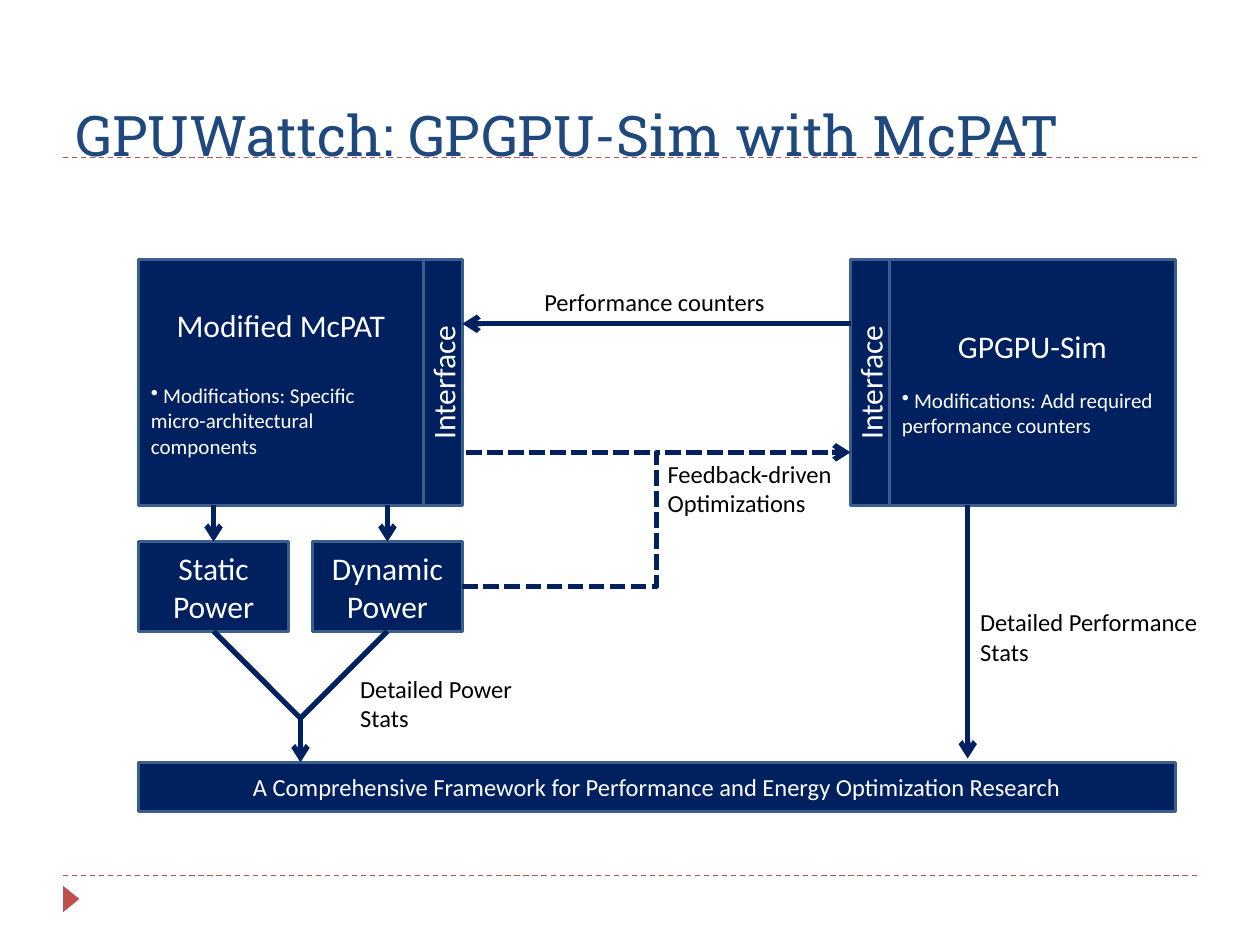
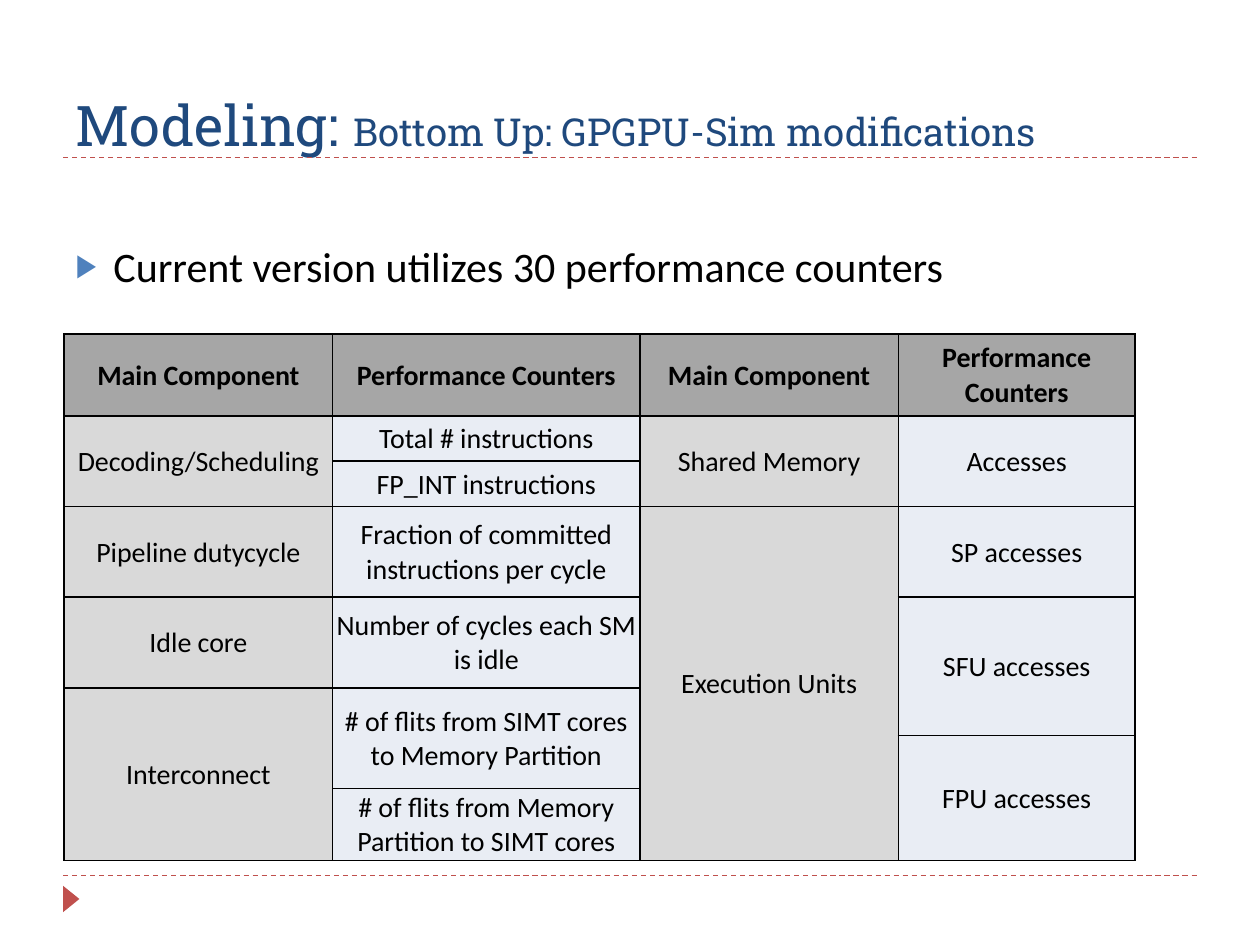
from dataclasses import dataclass
from lxml.etree import SubElement
from pptx import Presentation
from pptx.dml.color import RGBColor
from pptx.enum.dml import MSO_LINE
from pptx.enum.shapes import MSO_CONNECTOR, MSO_SHAPE
from pptx.enum.text import MSO_ANCHOR, MSO_AUTO_SIZE, PP_ALIGN
from pptx.oxml.ns import qn
from pptx.util import Inches, Pt

NAVY = RGBColor(0x00, 0x20, 0x60)
OUTLINE = RGBColor(0x3A, 0x5F, 0x8C)
TITLE_BLUE = RGBColor(0x1F, 0x49, 0x7D)
RULE_RED = RGBColor(0xC0, 0x50, 0x4D)
BULLET_BLUE = RGBColor(0x4F, 0x81, 0xBD)
BLACK = RGBColor(0, 0, 0)
WHITE = RGBColor(0xFF, 0xFF, 0xFF)
HEADER_GRAY = RGBColor(0xA6, 0xA6, 0xA6)
COMPONENT_GRAY = RGBColor(0xD9, 0xD9, 0xD9)
COUNTER_BLUE = RGBColor(0xE9, 0xED, 0xF4)
BODY_FONT = "Calibri"
TITLE_FONT = "Roboto Slab"


@dataclass
class Box:
    left: float
    top: float
    width: float
    height: float

    @property
    def right(self):
        return self.left + self.width

    @property
    def bottom(self):
        return self.top + self.height

    @property
    def lengths(self):
        return [Inches(n) for n in (self.left, self.top, self.width, self.height)]


def write(para, text, size=14, color=BLACK, font=BODY_FONT, bold=False, align=PP_ALIGN.LEFT, before=0):
    para.alignment = align
    para.space_before = Pt(before)
    span = para.add_run()
    span.text = text
    span.font.name = font
    span.font.size = Pt(size)
    span.font.bold = bold
    span.font.color.rgb = color


def add_bullet(para, mark, indent=0, color=None, percent=100):
    properties = para._p.get_or_add_pPr()
    properties.set("marL", str(Inches(indent)))
    properties.set("indent", str(-Inches(indent)))
    if color is not None:
        SubElement(SubElement(properties, qn("a:buClr")), qn("a:srgbClr"), val=str(color))
    SubElement(properties, qn("a:buSzPct"), val=str(percent * 1000))
    SubElement(properties, qn("a:buChar"), char=mark)


def add_line(page, start, end, color=NAVY, width=3, dash=None, arrow=False,
             kind=MSO_CONNECTOR.STRAIGHT, begin_at=None, end_at=None):
    line = page.shapes.add_connector(kind, *[Inches(n) for n in (*start, *end)])
    if begin_at:
        line.begin_connect(*begin_at)
    if end_at:
        line.end_connect(*end_at)
    line.line.color.rgb = color
    line.line.width = Pt(width)
    if dash:
        line.line.dash_style = dash
    if arrow:
        SubElement(line.line._get_or_add_ln(), qn("a:tailEnd"), type="arrow")
    SubElement(line._element.spPr, qn("a:effectLst"))


def add_block(page, box, text, size=18, vertical=False):
    block = page.shapes.add_shape(MSO_SHAPE.RECTANGLE, *box.lengths)
    block.shadow.inherit = False
    block.fill.solid()
    block.fill.fore_color.rgb = NAVY
    block.line.color.rgb = OUTLINE
    block.line.width = Pt(1.5)
    frame = block.text_frame
    frame.word_wrap = True
    frame.vertical_anchor = MSO_ANCHOR.MIDDLE
    if vertical:
        frame._txBody.bodyPr.set("vert", "vert270")
    write(frame.paragraphs[0], text, size=size, color=WHITE, align=PP_ALIGN.CENTER)
    return block


def add_label(page, box, text, align=PP_ALIGN.LEFT):
    frame = page.shapes.add_textbox(*box.lengths).text_frame
    frame.word_wrap = True
    write(frame.paragraphs[0], text, align=align)


def place(holder, box, anchor):
    holder.left, holder.top, holder.width, holder.height = box.lengths
    frame = holder.text_frame
    frame.auto_size = MSO_AUTO_SIZE.NONE
    frame.vertical_anchor = anchor
    return frame.paragraphs[0]


def add_page(deck, layout, title_top, title_parts):
    page = deck.slides.add_slide(deck.slide_layouts[layout])
    for top in (1.25, 6.95):
        add_line(page, (0.5, top), (9.5, top), color=RULE_RED, width=0.75, dash=MSO_LINE.DASH)
    marker = page.shapes.add_shape(MSO_SHAPE.ISOSCELES_TRIANGLE, *Box(0.46, 7.07, 0.21, 0.13).lengths)
    marker.rotation = 90
    marker.shadow.inherit = False
    marker.fill.solid()
    marker.fill.fore_color.rgb = RULE_RED
    marker.line.fill.background()
    para = place(page.shapes.title, Box(0.5, title_top, 9, 1.17), MSO_ANCHOR.BOTTOM)
    for text, size in title_parts:
        write(para, text, size=size, color=TITLE_BLUE, font=TITLE_FONT)
    return page


def add_simulator(page, box, name, modifications, gap, interface_first):
    interface_width = 0.31
    block_width = box.width - interface_width
    block_left = box.left + (interface_width if interface_first else 0)
    interface_left = box.left + (0 if interface_first else block_width)
    block = add_block(page, Box(block_left, box.top, block_width, box.height), name)
    para = block.text_frame.add_paragraph()
    add_bullet(para, "•")
    write(para, " " + modifications, size=12, color=WHITE, before=gap)
    add_block(page, Box(interface_left, box.top, interface_width, box.height), "Interface", vertical=True)


def add_power_stats(page, box, source_bottom):
    width, height = 1.19, 0.71
    join = (box.left + box.width / 2, 5.7)
    lefts = (box.left, box.right - width)
    for left, name in zip(lefts, ("Static Power", "Dynamic Power")):
        block = add_block(page, Box(left, box.top, width, height), name)
        middle = left + width / 2
        add_line(page, (middle, source_bottom), (middle, box.top), arrow=True, end_at=(block, 0))
        add_line(page, (middle, box.top + height), join, begin_at=(block, 2))
    add_line(page, join, (join[0], box.bottom), arrow=True)
    add_label(page, Box(box.left + 1.66, box.top + 1, 1.66, 0.57), "Detailed Power Stats")
    return block


def add_exchange(page, box, dynamic_power):
    counters_y, feedback_y = box.top + 0.51, box.top + 1.53
    add_line(page, (box.right, counters_y), (box.left, counters_y), arrow=True)
    add_label(page, Box(box.left + 0.47, counters_y - 0.34, 2.11, 0.34), "Performance counters", align=PP_ALIGN.CENTER)
    add_line(page, (box.left, 4.66), (box.right, feedback_y), dash=MSO_LINE.SQUARE_DOT, arrow=True,
             kind=MSO_CONNECTOR.ELBOW, begin_at=(dynamic_power, 3))
    add_line(page, (box.left + 1.49, feedback_y), (box.left, feedback_y), dash=MSO_LINE.SQUARE_DOT)
    add_label(page, Box(box.left + 1.53, feedback_y, 1.66, 0.57), "Feedback-driven Optimizations")


def build_framework(deck):
    page = add_page(deck, 5, 0.21, [("GPUWattch: GPGPU-Sim with McPAT", 32)])
    mcpat = Box(1.1, 2.06, 2.57, 1.95)
    simulator = Box(6.75, mcpat.top, 2.58, mcpat.height)
    framework = Box(mcpat.left, 6.05, simulator.right - mcpat.left, 0.39)
    add_simulator(page, mcpat, "Modified McPAT",
                  "Modifications: Specific micro-architectural components", 22, False)
    add_simulator(page, simulator, "GPGPU-Sim",
                  "Modifications: Add required performance counters", 13, True)
    add_block(page, framework,
              "A Comprehensive Framework for Performance and Energy Optimization Research", size=14)
    dynamic_power = add_power_stats(page, Box(mcpat.left, 4.3, mcpat.width, framework.top - 4.3), mcpat.bottom)
    add_exchange(page, Box(mcpat.right, mcpat.top, simulator.left - mcpat.right, mcpat.height), dynamic_power)
    stats_x = simulator.left + 0.93
    add_line(page, (stats_x, simulator.bottom), (stats_x, framework.top - 0.03), arrow=True)
    add_label(page, Box(stats_x, 4.77, 2.08, 0.57), "Detailed Performance Stats")


COLUMN_WIDTHS = (2.13, 2.44, 2.05, 1.88)
ROW_HEIGHTS = (0.65, 0.36, 0.36, 0.72, 0.72, 0.38, 0.42, 0.57)
HEADINGS = ("Main Component", "Performance Counters") * 2
COLUMN_ENTRIES = (
    (("Decoding/Scheduling", 2), ("Pipeline dutycycle", 1), ("Idle core", 1), ("Interconnect", 3)),
    (("Total # instructions", 1), ("FP_INT instructions", 1),
     ("Fraction of committed instructions per cycle", 1), ("Number of cycles each SM is idle", 1),
     ("# of flits from SIMT cores to Memory Partition", 2),
     ("# of flits from Memory Partition to SIMT cores", 1)),
    (("Shared Memory", 2), ("Execution Units", 5)),
    (("Accesses", 2), ("SP accesses", 1), ("SFU accesses", 2), ("FPU accesses", 2)),
)


def style_cell(cell, fill):
    cell.margin_left = cell.margin_right = cell.margin_top = Inches(0.01)
    cell.margin_bottom = 0
    cell.vertical_anchor = MSO_ANCHOR.MIDDLE
    properties = cell._tc.get_or_add_tcPr()
    for side in ("a:lnL", "a:lnR", "a:lnT", "a:lnB"):
        border = SubElement(properties, qn(side), w=str(Pt(1)))
        SubElement(SubElement(border, qn("a:solidFill")), qn("a:srgbClr"), val=str(BLACK))
    cell.fill.solid()
    cell.fill.fore_color.rgb = fill


def add_counter_table(page, box):
    table = page.shapes.add_table(len(ROW_HEIGHTS), len(COLUMN_WIDTHS), *box.lengths).table
    for row, height in zip(table.rows, ROW_HEIGHTS):
        row.height = Inches(height)
    for index, entries in enumerate(COLUMN_ENTRIES):
        table.columns[index].width = Inches(COLUMN_WIDTHS[index])
        fill = COUNTER_BLUE if index % 2 else COMPONENT_GRAY
        row = 0
        for text, rows in ((HEADINGS[index], 1), *entries):
            heading = row == 0
            for covered in range(row, row + rows):
                style_cell(table.cell(covered, index), HEADER_GRAY if heading else fill)
            cell = table.cell(row, index)
            if rows > 1:
                cell.merge(table.cell(row + rows - 1, index))
            write(cell.text_frame.paragraphs[0], text, size=16, bold=heading, align=PP_ALIGN.CENTER)
            row += rows


def build_counters(deck):
    page = add_page(deck, 1, 0.13, [("Modeling: ", 32), ("Bottom Up: GPGPU-Sim modifications", 22)])
    para = place(page.placeholders[1], Box(0.5, 1.86, 9, 1.1), MSO_ANCHOR.TOP)
    add_bullet(para, "▶", indent=0.3, color=BULLET_BLUE, percent=76)
    write(para, "Current version utilizes 30 performance counters", size=24)
    add_counter_table(page, Box(0.51, 2.65, sum(COLUMN_WIDTHS), sum(ROW_HEIGHTS)))


def main():
    deck = Presentation()
    deck.slide_width = Inches(10)
    deck.slide_height = Inches(7.5)
    build_framework(deck)
    build_counters(deck)
    deck.save("out.pptx")


if __name__ == "__main__":
    main()
